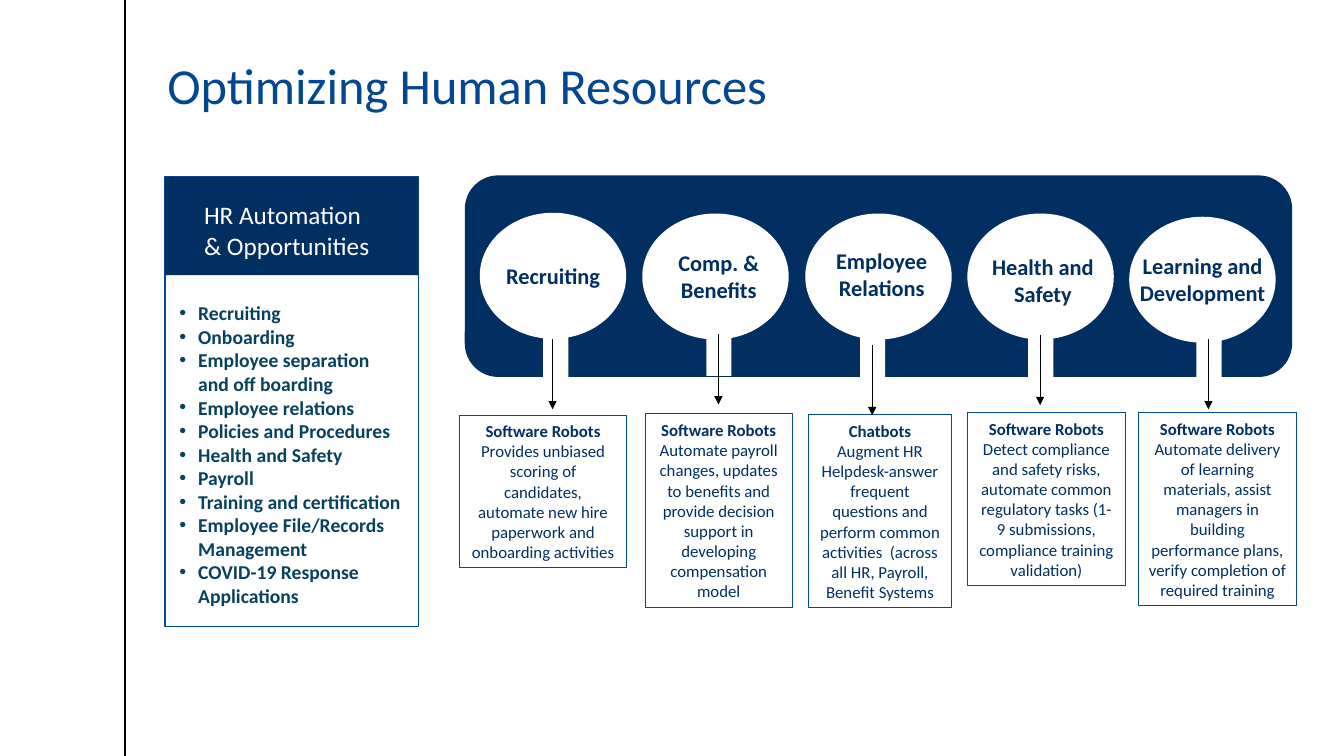
"""Build the slide on optimizing human resources."""
from lxml.etree import SubElement
from pptx import Presentation
from pptx.dml.color import RGBColor
from pptx.enum.shapes import MSO_CONNECTOR as Link, MSO_SHAPE as Kind
from pptx.enum.text import MSO_ANCHOR as Anchor, PP_ALIGN as Align
from pptx.oxml.ns import qn
from pptx.util import Pt

NAVY = RGBColor(0x02, 0x2F, 0x62)
BLUE = RGBColor(0x03, 0x47, 0x93)
TEAL = RGBColor(0x07, 0x41, 0x5E)
WHITE = RGBColor(0xFF, 0xFF, 0xFF)
BLACK = RGBColor(0, 0, 0)

deck = Presentation()
deck.slide_width, deck.slide_height = Pt(960), Pt(540)
slide = deck.slides.add_slide(deck.slide_layouts[6])
shapes = slide.shapes


def draw(kind, x, y, w, h, fill=None, edge=None, weight=1):
    shape = shapes.add_shape(kind, Pt(x), Pt(y), Pt(w), Pt(h))
    shape.shadow.inherit = False
    if fill is None:
        shape.fill.background()
    else:
        shape.fill.solid()
        shape.fill.fore_color.rgb = fill
    if edge is None:
        shape.line.fill.background()
    else:
        shape.line.color.rgb = edge
        shape.line.width = Pt(weight)
    return shape


def write(par, text, size, color, bold=False, align=Align.LEFT):
    par.alignment = align
    run = par.add_run()
    run.text = text
    font = run.font
    font.name, font.size, font.bold = "Calibri", Pt(size), bold
    font.color.rgb = color


title = shapes.add_textbox(Pt(119.5), Pt(24.5), Pt(549.4), Pt(77)).text_frame
title.word_wrap = True
title.vertical_anchor = Anchor.MIDDLE
title.margin_left = title.margin_right = 0
title.paragraphs[0].line_spacing = 0.9
write(title.paragraphs[0], "Optimizing Human Resources", 36, BLUE)

draw(Kind.FLOWCHART_ALTERNATE_PROCESS, 332, 125.3, 591, 144, NAVY)

ROBOTS = "Software Robots"
# name, oval (x, y), label (x, y), stem (x, y), arrow (x, y), box (x, y, w, h), head, body
areas = [
    ("Recruiting", (342.7, 152), (342.7, 183.6), (388, 221), (394.7, 242),
     (328.2, 296.5, 119.5, 109), ROBOTS,
     "Provides unbiased scoring of candidates, automate new hire paperwork "
     "and onboarding activities"),
    ("Comp. & Benefits", (458.8, 152.5), (461, 174.3), (504.5, 218.2), (513.2, 238.5),
     (461, 295.6, 104.8, 138.2), ROBOTS,
     "Automate payroll changes, updates to benefits and provide decision "
     "support in developing compensation model"),
    ("Employee Relations", (575.2, 152.5), (577.4, 173.3), (614.3, 229), (623, 246.2),
     (577.5, 296, 102.2, 138.2), "Chatbots",
     "Augment HR Helpdesk-answer frequent questions and perform common "
     "activities  (across all HR, Payroll, Benefit Systems"),
    ("Health and Safety", (691, 152.5), (692.6, 177), (734.4, 231.8), (743, 239),
     (691, 294.5, 113, 123.8), ROBOTS,
     "Detect compliance and safety risks, automate common regulatory tasks "
     "(1-9 submissions, compliance training validation)"),
    ("Learning and Development", (806.6, 154.8), (806.6, 176.4), (854.6, 230.4),
     (863.2, 242), (813.2, 294.5, 113, 138.2), ROBOTS,
     "Automate delivery of learning materials, assist managers in building "
     "performance plans, verify completion of required training"),
]
for name, oval, spot, stem, start, place, head, body in areas:
    draw(Kind.OVAL, *oval, 104.6, 90, WHITE)
    draw(Kind.RECTANGLE, *stem, 18, 50.4, WHITE)
    label = shapes.add_textbox(Pt(spot[0]), Pt(spot[1]), Pt(104.8), Pt(46)).text_frame
    label.word_wrap = True
    write(label.paragraphs[0], name, 16, NAVY, True, Align.CENTER)
    box = draw(Kind.RECTANGLE, *place, edge=BLUE, weight=0.75).text_frame
    box.word_wrap = True
    write(box.paragraphs[0], head, 12, NAVY, True, Align.CENTER)
    write(box.add_paragraph(), body, 12, NAVY, False, Align.CENTER)

lines = [(x, y, y + 50.4, 0.5) for _, _, _, _, (x, y), *_ in areas]
for x, top, end, weight in [(89.4, 0, 540, 1)] + lines:
    line = shapes.add_connector(Link.STRAIGHT, Pt(x), Pt(top), Pt(x), Pt(end))
    line.line.color.rgb = BLACK
    line.line.width = Pt(weight)
    if top > 0:
        SubElement(line.line._get_or_add_ln(), qn("a:tailEnd"), type="triangle")
    SubElement(line._element.spPr, qn("a:effectLst"))

draw(Kind.RECTANGLE, 118, 126.3, 180.8, 321.4, WHITE, BLUE)
draw(Kind.RECTANGLE, 118, 126.3, 180.8, 70.2, NAVY)
banner = shapes.add_textbox(Pt(138.7), Pt(139), Pt(134.6), Pt(51)).text_frame
banner.word_wrap = True
write(banner.paragraphs[0], "HR Automation & Opportunities", 18, WHITE)

items = [
    "Recruiting", "Onboarding", "Employee separation and off boarding",
    "Employee relations", "Policies and Procedures", "Health and Safety",
    "Payroll", "Training and certification",
    "Employee File/Records Management", "COVID-19 Response Applications",
]
chances = shapes.add_textbox(Pt(121), Pt(211.7), Pt(174.6), Pt(227.5)).text_frame
chances.word_wrap = True
for rank, item in enumerate(items):
    par = chances.add_paragraph() if rank else chances.paragraphs[0]
    props = par._p.get_or_add_pPr()
    props.set("marL", str(Pt(13.5)))
    props.set("indent", str(Pt(-13.5)))
    SubElement(props, qn("a:buFont"), typeface="Arial")
    SubElement(props, qn("a:buChar"), char="•")
    write(par, item, 14, TEAL, True)

deck.save("out.pptx")
